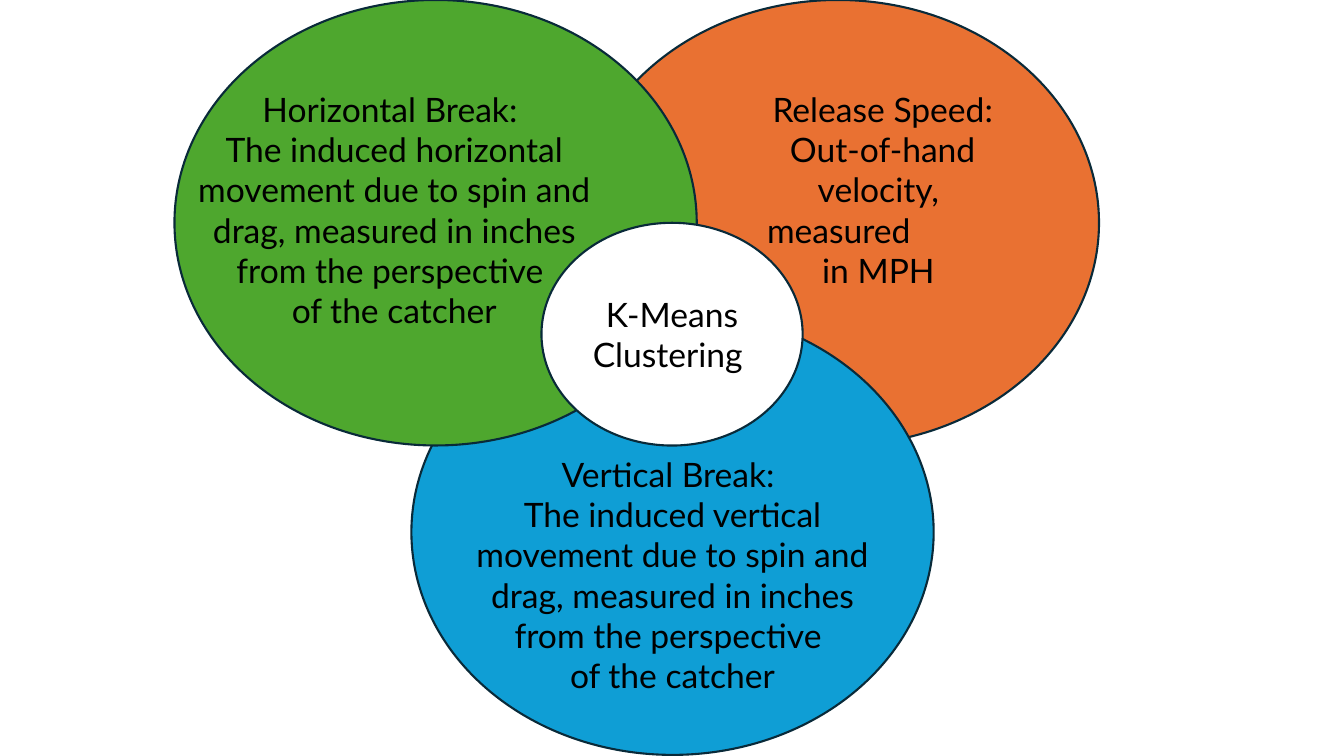
from pptx import Presentation
from pptx import util as u
from pptx.dml.color import RGBColor
from pptx.enum import shapes, text

THEME = {
    "speed": RGBColor.from_string("E97132"),
    "vertical": RGBColor.from_string("0F9ED5"),
    "horizontal": RGBColor.from_string("4EA72E"),
    "hub": RGBColor.from_string("FFFFFF"),
    "outline": RGBColor.from_string("092A39"),
    "outline_width": u.Pt(1.5),
    "font": {"name": "Lato", "size": u.Pt(24)},
    "ink": RGBColor.from_string("000000"),
}

deck = Presentation()
deck.slide_width = u.Inches(13.33)
deck.slide_height = u.Inches(7.5)
slide = deck.slides.add_slide(deck.slide_layouts[6])
column = deck.slide_width / 100
row = deck.slide_height / 100


def place(left, top, width, height):
    return [round(left * column), round(top * row), round(width * column), round(height * row)]


def write(frame, lines):
    frame.word_wrap = True
    for index, line in enumerate(lines):
        paragraph = frame.paragraphs[0] if index == 0 else frame.add_paragraph()
        paragraph.alignment = text.PP_ALIGN.CENTER
        run = paragraph.add_run()
        run.text = line
        for key, value in THEME["font"].items():
            setattr(run.font, key, value)
        run.font.color.rgb = THEME["ink"]


circle_width, circle_height = 38.86, 58.93
circles = [
    ("speed", 42.91, 0, 1),
    ("vertical", 30.61, 40.93, 1),
    ("horizontal", 12.98, 0, 1),
    ("hub", 40.29, 29.47, 0.5),
]
for topic, left, top, scale in circles:
    circle = slide.shapes.add_shape(
        shapes.MSO_SHAPE.FLOWCHART_CONNECTOR,
        *place(left, top, circle_width * scale, circle_height * scale),
    )
    circle.shadow.inherit = False
    circle.fill.solid()
    circle.fill.fore_color.rgb = THEME[topic]
    circle.line.color.rgb = THEME["outline"]
    circle.line.width = THEME["outline_width"]
    if topic == "hub":
        circle.text_frame.vertical_anchor = text.MSO_ANCHOR.MIDDLE
        write(circle.text_frame, ["K-Means Clustering "])

definitions = [
    ((55.96, 11.07, 19.43, 28.27),
     ["Release Speed: Out-of-hand velocity, ", "measured", "in MPH "]),
]
for direction, left, top in [("Horizontal", 13.28, 11.07), ("Vertical", 33.98, 59.33)]:
    definitions.append((
        (left, top, 32.11, 33.6),
        [f"{direction} Break: ",
         f"The induced {direction.lower()} movement due to spin and drag, "
         "measured in inches from the perspective ",
         "of the catcher"],
    ))

for area, lines in definitions:
    definition = slide.shapes.add_textbox(*place(*area)).text_frame
    write(definition, lines)
    definition.auto_size = text.MSO_AUTO_SIZE.SHAPE_TO_FIT_TEXT
    for paragraph in definition.paragraphs:
        if paragraph.text == "measured":
            paragraph.alignment = text.PP_ALIGN.LEFT
            paragraph._p.get_or_add_pPr().set("marL", str(u.Inches(0.05)))

deck.save("out.pptx")
